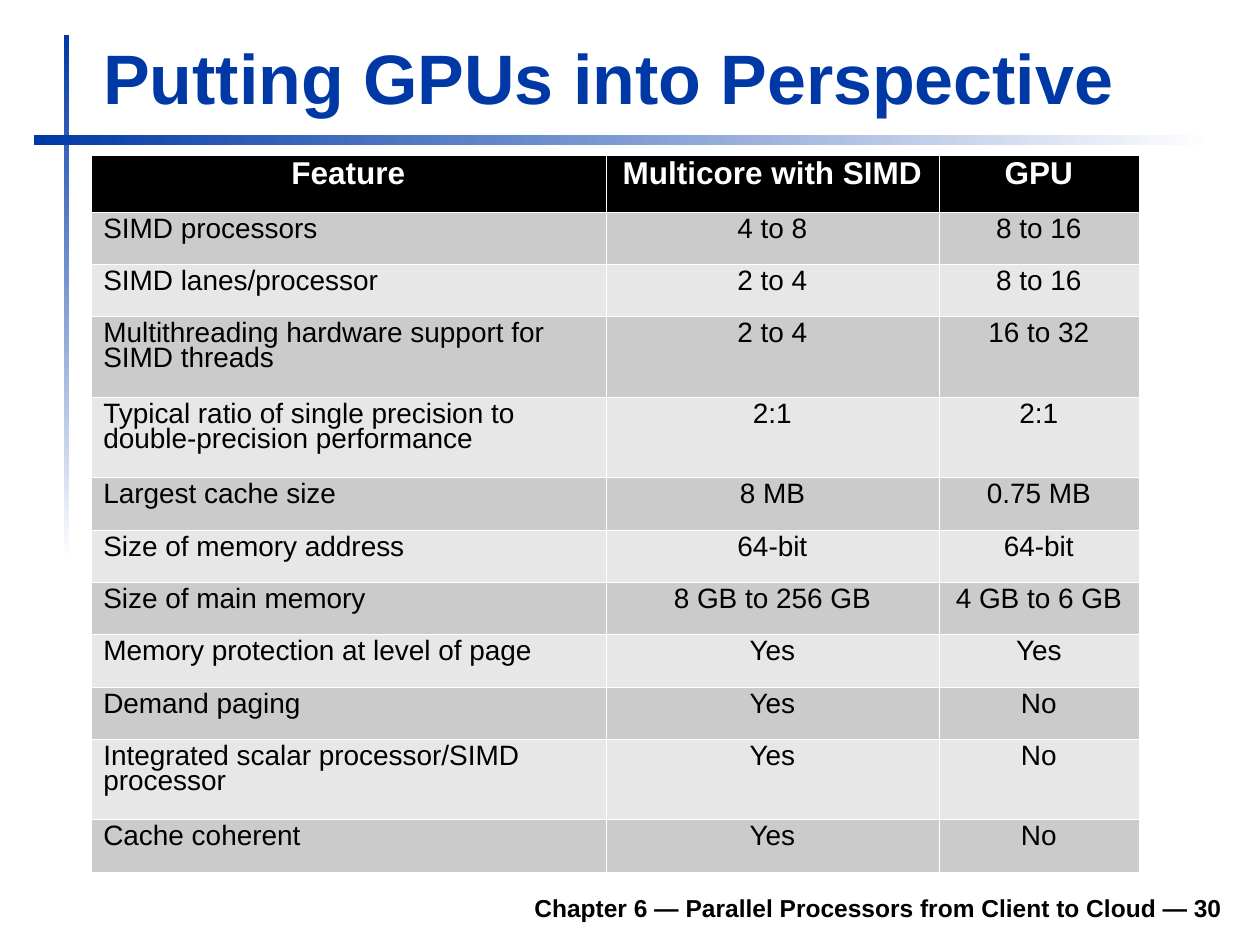
from dataclasses import dataclass

from lxml.etree import SubElement
from pptx import Presentation
from pptx.dml.color import RGBColor
from pptx.enum.shapes import MSO_SHAPE as Shape
from pptx.enum.text import MSO_ANCHOR as Anchor, MSO_AUTO_SIZE as Fit, PP_ALIGN as Align
from pptx.oxml.ns import qn
from pptx.util import Inches, Pt

BLUE = RGBColor(0x00, 0x39, 0xA6)
WHITE = RGBColor(0xFF, 0xFF, 0xFF)
BLACK = RGBColor(0x00, 0x00, 0x00)
DARK = RGBColor(0xCB, 0xCB, 0xCB)
LIGHT = RGBColor(0xE7, 0xE7, 0xE7)


@dataclass
class Bar:
    left: float
    top: float
    width: float
    height: float
    angle: int  # counter-clockwise


@dataclass
class Row:
    feature: str
    cpu: str
    gpu: str
    tall: bool = False


BARS = [
    Bar(0.51, 0.28, 0.04, 4.17, 270),
    Bar(0.27, 1.07, 9.37, 0.08, 0),
]
ROWS = [
    Row("Feature", "Multicore with SIMD", "GPU"),
    Row("SIMD processors", "4 to 8", "8 to 16"),
    Row("SIMD lanes/processor", "2 to 4", "8 to 16"),
    Row("Multithreading hardware support for SIMD threads", "2 to 4", "16 to 32", True),
    Row("Typical ratio of single precision to double-precision performance",
        "2:1", "2:1", True),
    Row("Largest cache size", "8 MB", "0.75 MB"),
    Row("Size of memory address", "64-bit", "64-bit"),
    Row("Size of main memory", "8 GB to 256 GB", "4 GB to 6 GB"),
    Row("Memory protection at level of page", "Yes", "Yes"),
    Row("Demand paging", "Yes", "No"),
    Row("Integrated scalar processor/SIMD processor", "Yes", "No", True),
    Row("Cache coherent", "Yes", "No"),
]
COLS = [4.09, 2.64, 1.59]
TABLE_H, HEAD_H, TALL_H = 5.69, 0.45, 0.64


def add_text(para, text: str, size: int, color: RGBColor, bold: bool, align) -> None:
    para.alignment = align
    run = para.add_run()
    run.text = text
    font = run.font
    font.name, font.size, font.bold = "Arial", Pt(size), bold
    font.color.rgb = color


def draw_bar(slide, bar: Bar) -> None:
    shape = slide.shapes.add_shape(
        Shape.RECTANGLE, Inches(bar.left), Inches(bar.top),
        Inches(bar.width), Inches(bar.height))
    shape.shadow.inherit = False
    shape.line.fill.background()
    shape.fill.gradient()
    shape.fill.gradient_angle = bar.angle
    for stop, color in zip(shape.fill.gradient_stops, (BLUE, WHITE)):
        stop.color.rgb = color


def add_edges(cell, first: bool, head: bool) -> None:
    """Thin white lines, heavier between the header and the body."""
    props = cell._tc.get_or_add_tcPr()
    heavy = {"lnB"} if head else {"lnT"} if first else set()
    for spot, side in enumerate(("lnL", "lnR", "lnT", "lnB")):
        width = Pt(0.17 if side in heavy else 0.06)
        line = SubElement(props, qn(f"a:{side}"), w=str(width))
        fill = SubElement(line, qn("a:solidFill"))
        SubElement(fill, qn("a:srgbClr"), val=str(WHITE))
        props.insert(spot, line)  # lines come before the fill


def draw_table(slide) -> None:
    frame = slide.shapes.add_table(
        len(ROWS), len(COLS), Inches(0.72), Inches(1.23),
        Inches(sum(COLS)), Inches(TABLE_H))
    table = frame.table
    for col, width in zip(table.columns, COLS):
        col.width = Inches(width)

    # Plain rows share what the header and the tall rows leave
    tall = sum(row.tall for row in ROWS)
    plain_h = (TABLE_H - HEAD_H - tall * TALL_H) / (len(ROWS) - 1 - tall)
    for i, row in enumerate(ROWS):
        head = i == 0
        height = HEAD_H if head else TALL_H if row.tall else plain_h
        table.rows[i].height = Inches(height)
        for j, text in enumerate((row.feature, row.cpu, row.gpu)):
            cell = table.cell(i, j)
            cell.fill.solid()
            cell.fill.fore_color.rgb = BLACK if head else DARK if i % 2 else LIGHT
            add_edges(cell, i == 1, head)
            para = cell.text_frame.paragraphs[0]
            para.line_spacing = 0.81
            align = Align.CENTER if head or j else Align.LEFT
            add_text(para, text, 18 if head else 16,
                     WHITE if head else BLACK, head, align)


def draw_title(slide) -> None:
    title = slide.shapes.title
    title.left, title.top = Inches(0.75), Inches(0.22)
    title.width, title.height = Inches(9.03), Inches(0.77)
    frame = title.text_frame
    frame.auto_size, frame.word_wrap = Fit.NONE, True
    frame.vertical_anchor = Anchor.BOTTOM
    frame.margin_left = frame.margin_right = Inches(0.07)
    add_text(frame.paragraphs[0], "Putting GPUs into Perspective",
             40, BLUE, True, Align.LEFT)


def draw_footer(slide) -> None:
    box = slide.shapes.add_textbox(
        Inches(1.85), Inches(6.98), Inches(7.95), Inches(0.39))
    frame = box.text_frame
    frame.word_wrap = True
    frame.vertical_anchor = Anchor.BOTTOM
    add_text(frame.paragraphs[0],
             "Chapter 6 — Parallel Processors from Client to Cloud — 30",
             14, BLACK, True, Align.RIGHT)


def main() -> None:
    deck = Presentation()
    deck.slide_width, deck.slide_height = Inches(10), Inches(7.5)
    slide = deck.slides.add_slide(deck.slide_layouts[5])  # title only
    for bar in BARS:
        draw_bar(slide, bar)
    draw_title(slide)
    draw_footer(slide)
    draw_table(slide)
    deck.save("out.pptx")


if __name__ == "__main__":
    main()
